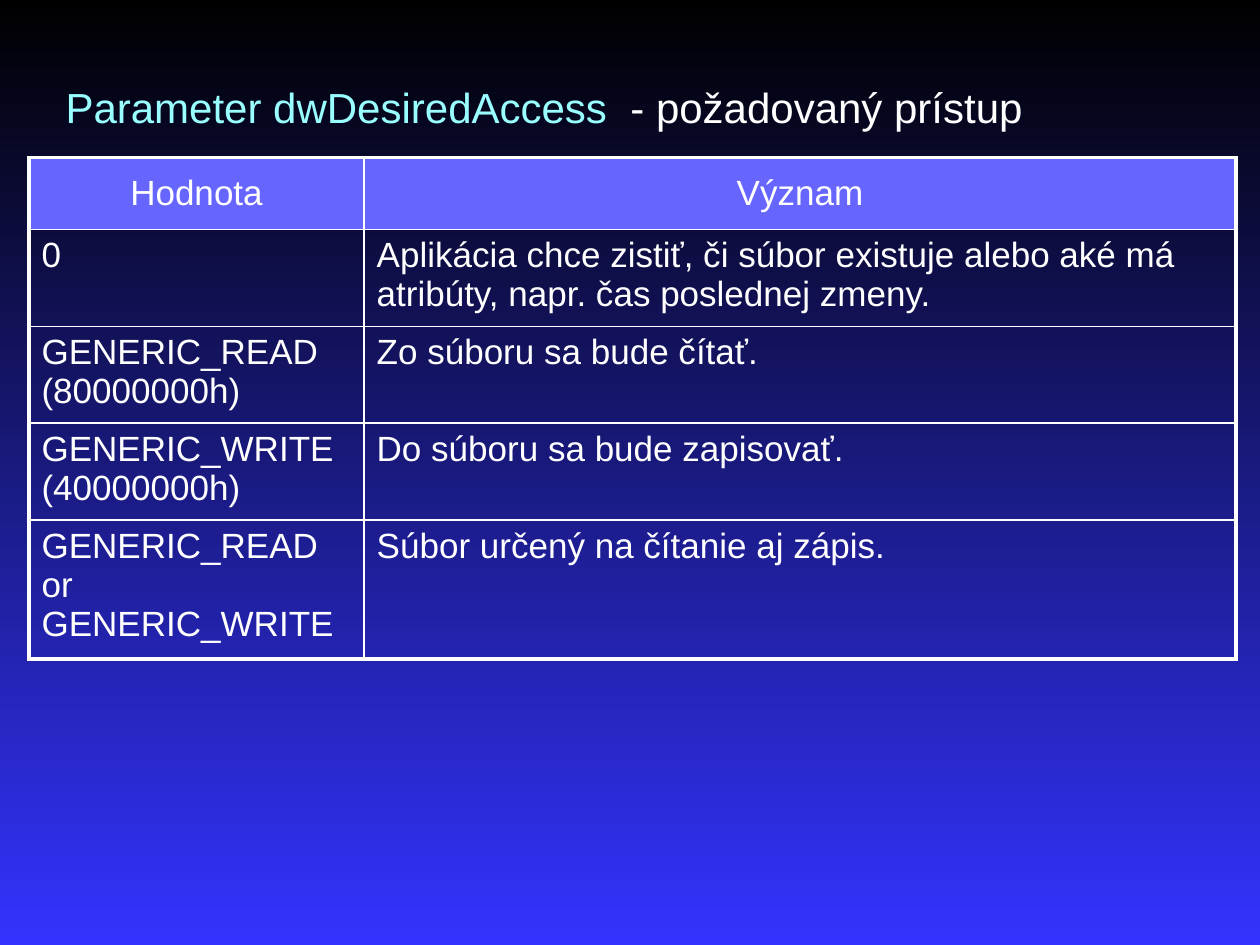
from lxml import etree
from pptx import Presentation
from pptx.dml.color import RGBColor
from pptx.enum.text import MSO_ANCHOR, MSO_AUTO_SIZE, PP_ALIGN
from pptx.oxml.ns import qn
from pptx.util import Inches, Pt

CENTER, LEFT = PP_ALIGN.CENTER, PP_ALIGN.LEFT
MIDDLE, TOP = MSO_ANCHOR.MIDDLE, MSO_ANCHOR.TOP
NO_AUTOFIT = MSO_AUTO_SIZE.NONE
TITLE_ONLY = 5
COLORS = {
    "top": "000000",
    "bottom": "3333FF",
    "header": "6666FF",
    "accent": "99FFFF",
    "text": "FFFFFF",
    "border": "FFFFFF",
}
OUTER, INNER = 2.25, 1

ROWS = [
    ("Hodnota", "Význam"),
    ("0", "Aplikácia chce zistiť, či súbor existuje alebo aké má "
          "atribúty, napr. čas poslednej zmeny."),
    ("GENERIC_READ (80000000h)", "Zo súboru sa bude čítať."),
    ("GENERIC_WRITE (40000000h)", "Do súboru sa bude zapisovať."),
    ("GENERIC_READ or GENERIC_WRITE", "Súbor určený na čítanie aj zápis."),
]
COLUMN_WIDTHS = [2.66, 6.92]
ROW_HEIGHTS = [0.57, 0.77, 0.77, 0.77, 1.1]


def format_font(font, size, color):
    font.name = "Arial"
    font.size = Pt(size)
    font.bold = False
    font.color.rgb = RGBColor.from_string(COLORS[color])


def set_borders(cell, widths):
    """Draw the left, right, top and bottom borders with widths in points."""
    properties = cell._tc.get_or_add_tcPr()
    for index, (side, width) in enumerate(zip("LRTB", widths)):
        line = etree.Element(qn(f"a:ln{side}"), w=str(Pt(width)))
        fill = etree.SubElement(line, qn("a:solidFill"))
        etree.SubElement(fill, qn("a:srgbClr"), val=COLORS["border"])
        properties.insert(index, line)


presentation = Presentation()
presentation.slide_width = Inches(10)
presentation.slide_height = Inches(7.5)
slide = presentation.slides.add_slide(presentation.slide_layouts[TITLE_ONLY])

background = slide.background.fill
background.gradient()
background.gradient_angle = 270
for stop, name in zip(background.gradient_stops, ("top", "bottom")):
    stop.color.rgb = RGBColor.from_string(COLORS[name])

title = slide.shapes.title
title.left, title.top = Inches(0.42), Inches(0.6)
title.width, title.height = Inches(9.39), Inches(0.5)
title.text_frame.auto_size = NO_AUTOFIT
title.text_frame.vertical_anchor = TOP
paragraph = title.text_frame.paragraphs[0]
paragraph.alignment = LEFT
for text, color in (("Parameter dwDesiredAccess  ", "accent"),
                    ("- požadovaný prístup", "text")):
    run = paragraph.add_run()
    run.text = text
    format_font(run.font, 24, color)

table = slide.shapes.add_table(
    len(ROWS), len(COLUMN_WIDTHS), Inches(0.23), Inches(1.25),
    Inches(sum(COLUMN_WIDTHS)), Inches(sum(ROW_HEIGHTS))).table
table.first_row = False
table.horz_banding = False
for column, width in zip(table.columns, COLUMN_WIDTHS):
    column.width = Inches(width)
for row, height in zip(table.rows, ROW_HEIGHTS):
    row.height = Inches(height)

last_row, last_column = len(ROWS) - 1, len(COLUMN_WIDTHS) - 1
for r, texts in enumerate(ROWS):
    for c, text in enumerate(texts):
        cell = table.cell(r, c)
        is_header = r == 0
        cell.text_frame.text = text
        cell.vertical_anchor = MIDDLE if is_header else TOP
        paragraph = cell.text_frame.paragraphs[0]
        paragraph.alignment = CENTER if is_header else LEFT
        format_font(paragraph.runs[0].font, 20, "text")
        if is_header:
            cell.fill.solid()
            cell.fill.fore_color.rgb = RGBColor.from_string(COLORS["header"])
        else:
            cell.fill.background()
        on_edge = (c == 0, c == last_column, r == 0, r == last_row)
        set_borders(cell, [OUTER if edge else INNER for edge in on_edge])

presentation.save("out.pptx")
